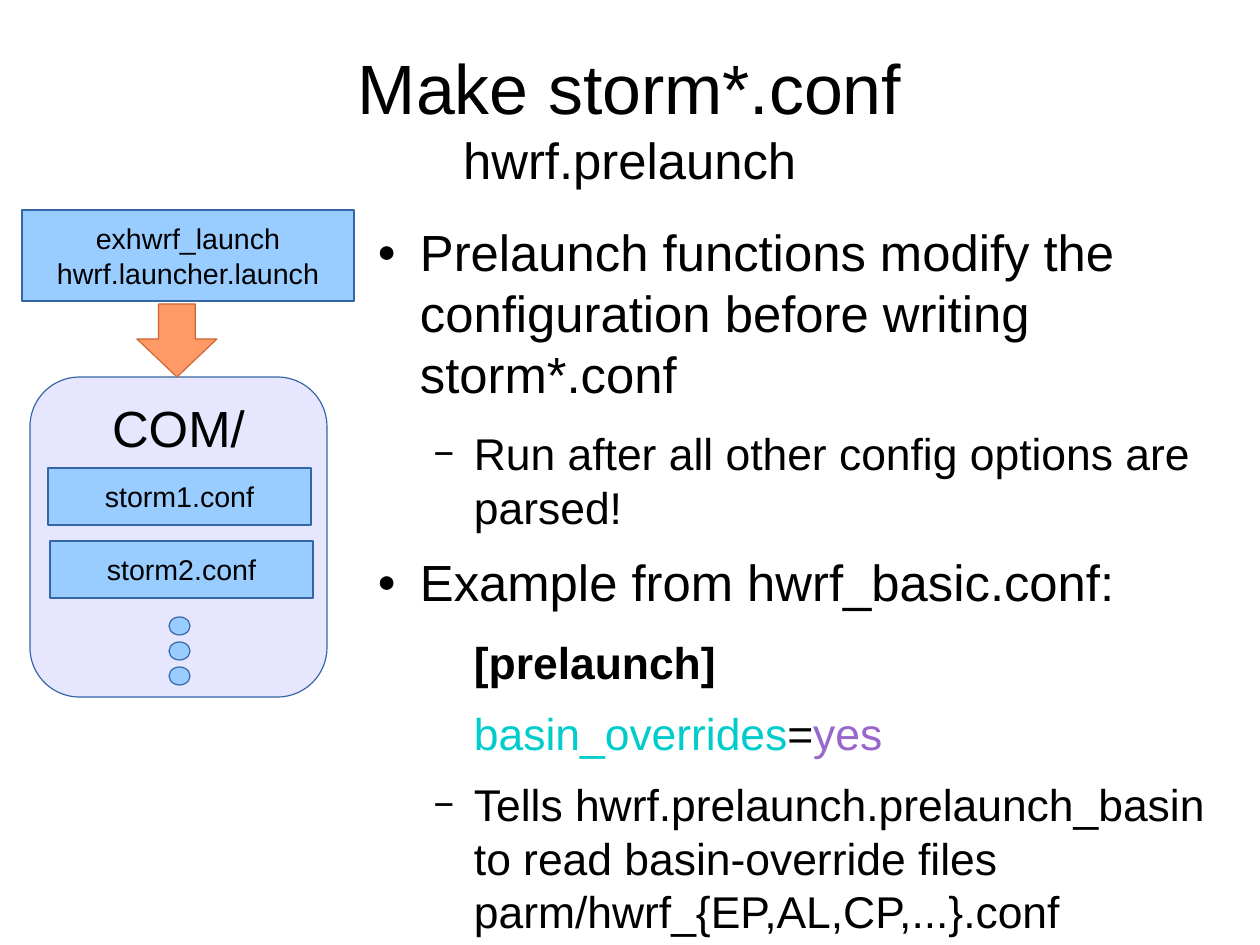
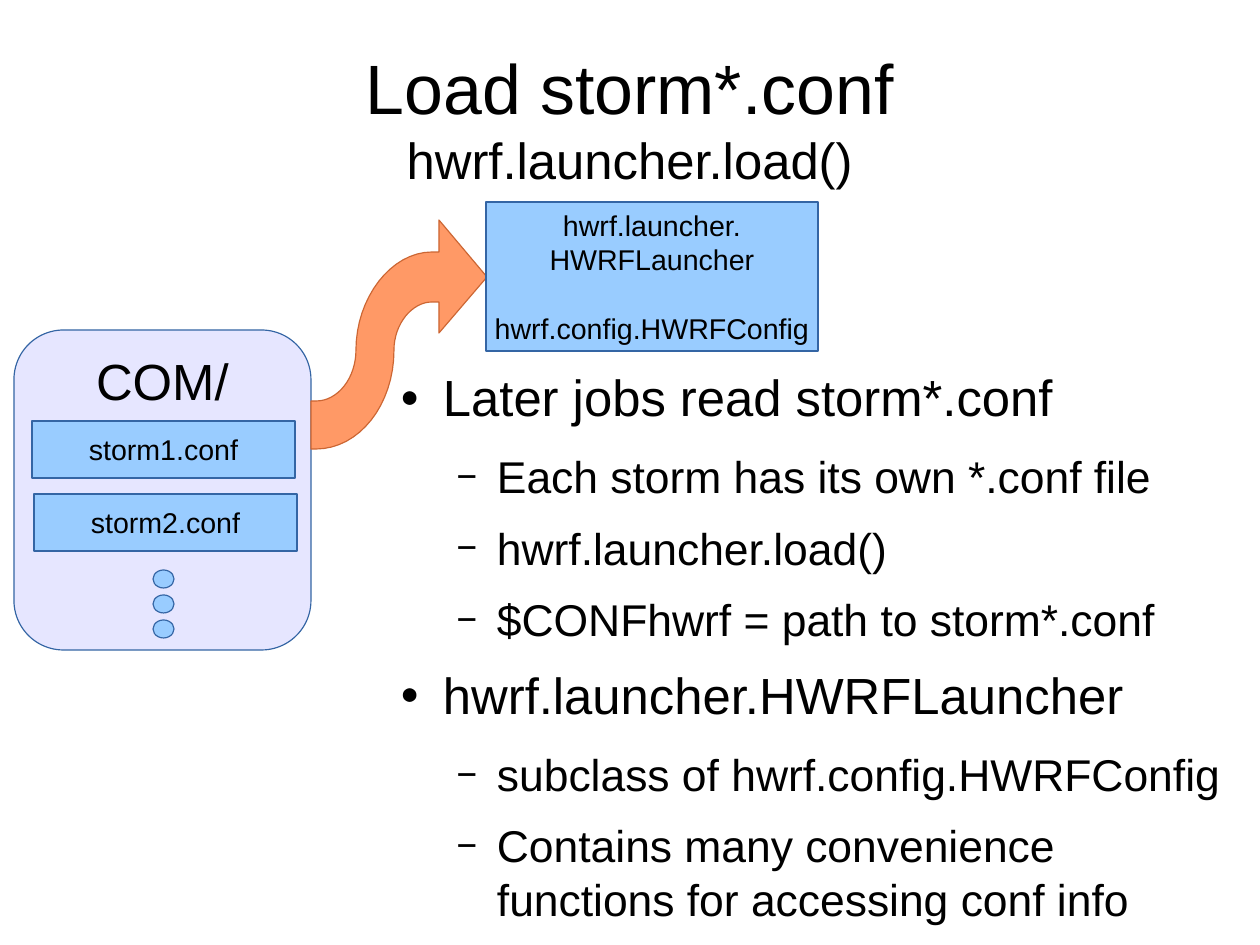
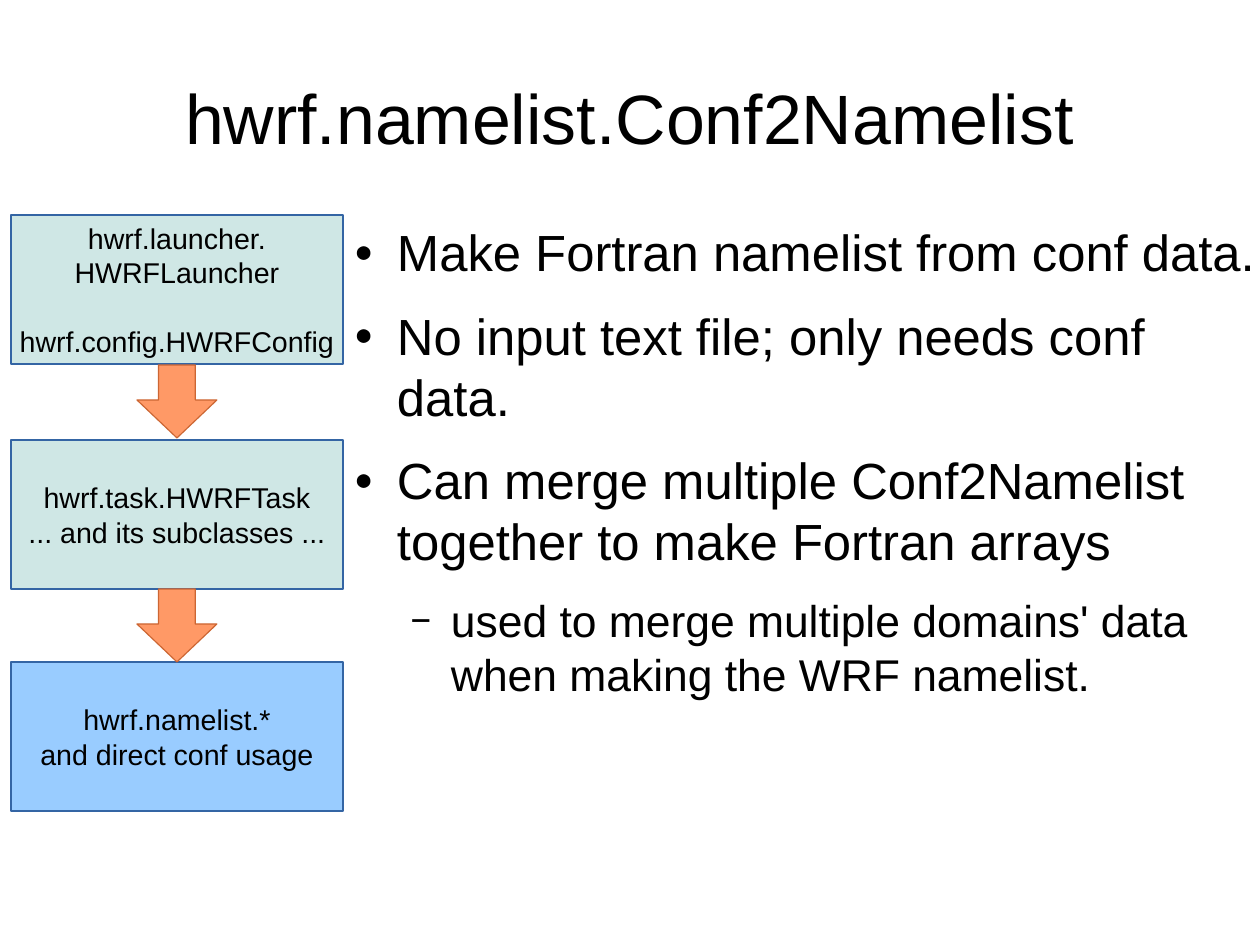
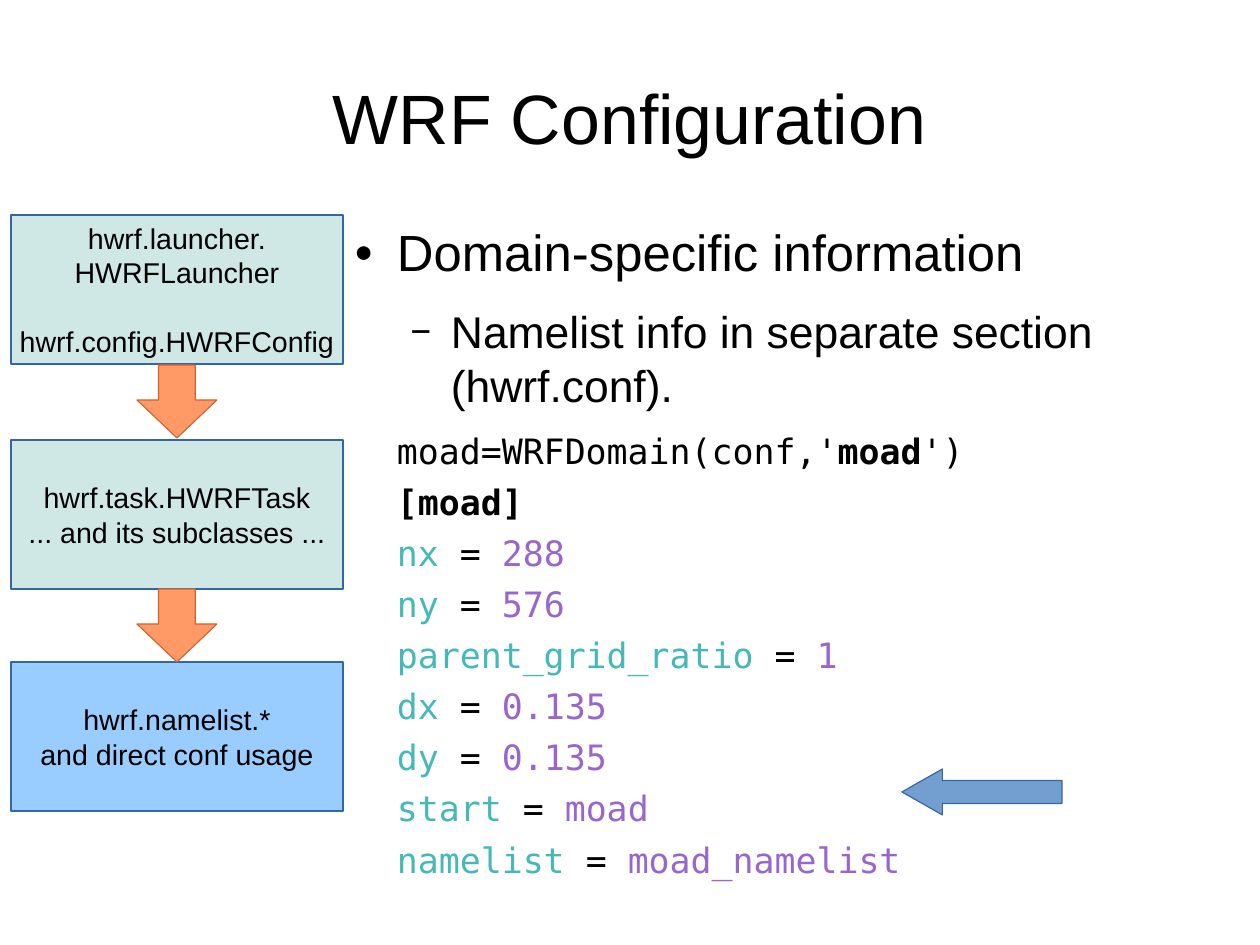
from dataclasses import dataclass

from lxml.etree import SubElement
from pptx import Presentation
from pptx.dml.color import RGBColor
from pptx.enum.shapes import MSO_SHAPE
from pptx.enum.text import MSO_ANCHOR, PP_ALIGN
from pptx.oxml.ns import qn
from pptx.util import Emu, Pt

EMU_PER_PX = 8000
SLIDE_WIDTH, SLIDE_HEIGHT = 1260, 945

BLACK = RGBColor(0x00, 0x00, 0x00)
SKY = RGBColor(0x99, 0xCC, 0xFF)
LAVENDER = RGBColor(0xE6, 0xE6, 0xFF)
MINT = RGBColor(0xCF, 0xE7, 0xE5)
STEEL = RGBColor(0x72, 0x9F, 0xCF)
NAVY = RGBColor(0x34, 0x65, 0xA4)
ORANGE = RGBColor(0xFF, 0x99, 0x66)
RUST = RGBColor(0xCC, 0x66, 0x33)
CYAN = RGBColor(0x00, 0xCC, 0xCC)
TEAL = RGBColor(0x47, 0xB8, 0xB8)
PURPLE = RGBColor(0x99, 0x66, 0xCC)

SANS = "Arial"
MONO = "DejaVu Sans Mono"
TITLE_BOX = (63, 38, 1134, 158)
STAGE_WIDTH, STAGE_HEIGHT = 332, 149
ARROW_WIDTH, ARROW_HEIGHT = 80, 73
SECTION_GAP = 21.6
CURVE_STEPS = 16

LAUNCHER_LINES = ["hwrf.launcher.", "HWRFLauncher", "hwrf.config.HWRFConfig"]


@dataclass(frozen=True)
class LineStyle:
    level: int
    indent: int
    size: int
    space_after: float
    font: str = SANS
    bullet: str = ""
    bullet_percent: int = 0


POINT = LineStyle(0, 54, 32, 14.2, bullet="●", bullet_percent=45)
DETAIL = LineStyle(1, 108, 28, 11.3, bullet="−", bullet_percent=75)
SETTING = LineStyle(1, 108, 28, 11.3)
CODE = LineStyle(0, 54, 22, 5.8, font=MONO)
HANGING = -40


def px(length):
    return Emu(length * EMU_PER_PX)


def format_font(font, size, name=SANS, color=BLACK, bold=False):
    font.name = name
    font.size = Pt(size)
    font.bold = bold
    font.color.rgb = color


def add_bullet(properties, style):
    color = SubElement(properties, qn("a:buClr"))
    SubElement(color, qn("a:srgbClr"), val=str(BLACK))
    SubElement(properties, qn("a:buSzPct"), val=str(style.bullet_percent * 1000))
    SubElement(properties, qn("a:buFont"), typeface=MONO)
    SubElement(properties, qn("a:buChar"), char=style.bullet)


def add_text_box(slide, box):
    text_frame = slide.shapes.add_textbox(*map(px, box)).text_frame
    text_frame.word_wrap = True
    text_frame.margin_left = text_frame.margin_right = 0
    text_frame.margin_top = text_frame.margin_bottom = 0
    return text_frame


def add_title(slide, title, subtitle=None):
    text_frame = add_text_box(slide, TITLE_BOX)
    text_frame.vertical_anchor = MSO_ANCHOR.MIDDLE
    text_frame.text = f"{title}\n{subtitle}" if subtitle else title
    for paragraph, size in zip(text_frame.paragraphs, (44, 32)):
        paragraph.alignment = PP_ALIGN.CENTER
        format_font(paragraph.runs[0].font, size)


def add_body(slide, box, lines):
    text_frame = add_text_box(slide, box)
    for index, (style, *pieces) in enumerate(lines):
        paragraph = text_frame.add_paragraph() if index else text_frame.paragraphs[0]
        paragraph.level = style.level
        properties = paragraph._p.get_or_add_pPr()
        properties.set("marL", str(px(style.indent)))
        properties.set("indent", str(px(HANGING if style.bullet else 0)))
        if style.bullet:
            add_bullet(properties, style)
        paragraph.space_after = Pt(style.space_after)
        for text, color, bold in pieces:
            run = paragraph.add_run()
            run.text = text
            format_font(run.font, style.size, style.font, color, bold)


def plain(style, text):
    return style, (text, BLACK, False)


def heading(style, text):
    return style, (text, BLACK, True)


def assignment(style, name, equals, value, name_color):
    return style, (name, name_color, False), (equals, BLACK, False), (value, PURPLE, False)


def paint(shape, fill, line):
    shape.shadow.inherit = False
    shape.fill.solid()
    shape.fill.fore_color.rgb = fill
    shape.line.color.rgb = line
    shape.line.width = Pt(0)


def add_figure(shapes, kind, box, fill, line=NAVY, adjustments=()):
    shape = shapes.add_shape(kind, *map(px, box))
    paint(shape, fill, line)
    for index, value in enumerate(adjustments):
        shape.adjustments[index] = value
    return shape


def label(shape, lines, size=18, anchor=MSO_ANCHOR.MIDDLE):
    text_frame = shape.text_frame
    text_frame.word_wrap = False
    text_frame.vertical_anchor = anchor
    text_frame.text = "\n".join(lines)
    for paragraph in text_frame.paragraphs:
        paragraph.alignment = PP_ALIGN.CENTER
        format_font(paragraph.runs[0].font, size)


def add_process(slide, box, lines, fill=SKY):
    shape = add_figure(slide.shapes, MSO_SHAPE.FLOWCHART_PROCESS, box, fill)
    label(shape, lines)
    return shape


def add_launcher(slide, left, top, fill):
    shape = add_process(slide, (left, top, STAGE_WIDTH, STAGE_HEIGHT), LAUNCHER_LINES, fill)
    shape.text_frame.paragraphs[-1].space_before = Pt(SECTION_GAP)


def add_down_arrow(slide, left, top):
    box = (left, top, ARROW_WIDTH, ARROW_HEIGHT)
    add_figure(slide.shapes, MSO_SHAPE.DOWN_ARROW, box, ORANGE, RUST, (0.46, 0.52))


def add_com_folder(slide, left, top):
    folder = add_figure(
        slide.shapes, MSO_SHAPE.FLOWCHART_ALTERNATE_PROCESS, (left, top, 297, 320), LAVENDER
    )
    label(folder, ["COM/"], 32, MSO_ANCHOR.TOP)
    for name, shift, drop in (("storm1.conf", 18, 91), ("storm2.conf", 20, 164)):
        add_process(slide, (left + shift, top + drop, 263, 57), [name])
    dots = slide.shapes.add_group_shape()
    for index in range(3):
        box = (left + 139, top + 240 + 25 * index, 21, 18)
        add_figure(dots.shapes, MSO_SHAPE.FLOWCHART_CONNECTOR, box, SKY)


def curve(start, first, second, end):
    points = []
    for step in range(1, CURVE_STEPS + 1):
        t = step / CURVE_STEPS
        weights = ((1 - t) ** 3, 3 * t * (1 - t) ** 2, 3 * t * t * (1 - t), t ** 3)
        corners = (start, first, second, end)
        points.append(tuple(
            sum(weight * corner[axis] for weight, corner in zip(weights, corners))
            for axis in (0, 1)
        ))
    return points


def add_curved_arrow(slide, left, top):
    outline = [
        (121, 32),
        *curve((121, 32), (80, 32), (45, 78), (45, 130)),
        *curve((45, 130), (45, 158), (27, 181), (5, 181)),
        (0, 181), (0, 229), (5, 229),
        *curve((5, 229), (48, 229), (83, 185), (83, 130)),
        *curve((83, 130), (83, 104), (101, 82), (121, 82)),
        (128, 82), (128, 113), (176, 57), (128, 0), (128, 32),
    ]
    points = [(round(px(1) * (left + x)), round(px(1) * (top + y))) for x, y in outline]
    builder = slide.shapes.build_freeform(*points[0], scale=1.0)
    builder.add_line_segments(points[1:], close=True)
    paint(builder.convert_to_shape(), ORANGE, RUST)


def add_pipeline(slide, left, top):
    arrow_left = left + (STAGE_WIDTH - ARROW_WIDTH) // 2
    add_launcher(slide, left, top, MINT)
    for drop, lines, fill in (
        (225, ["hwrf.task.HWRFTask", "... and its subclasses ..."], MINT),
        (447, ["hwrf.namelist.*", "and direct conf usage"], SKY),
    ):
        add_process(slide, (left, top + drop, STAGE_WIDTH, STAGE_HEIGHT), lines, fill)
    for drop in (150, 374):
        add_down_arrow(slide, arrow_left, top + drop)


def build_make_slide(slide):
    add_title(slide, "Make storm*.conf", "hwrf.prelaunch")
    add_body(slide, (366, 221, 857, 694), [
        plain(POINT, "Prelaunch functions modify the configuration before writing storm*.conf"),
        plain(DETAIL, "Run after all other config options are parsed!"),
        plain(POINT, "Example from hwrf_basic.conf:"),
        heading(SETTING, "[prelaunch]"),
        assignment(SETTING, "basin_overrides", "=", "yes", CYAN),
        plain(DETAIL, "Tells hwrf.prelaunch.prelaunch_basin to read basin-override files "
                      "parm/hwrf_{EP,AL,CP,...}.conf"),
    ])
    add_process(slide, (22, 210, 332, 91), ["exhwrf_launch", "hwrf.launcher.launch"])
    add_com_folder(slide, 30, 377)
    add_down_arrow(slide, 137, 304)


def build_load_slide(slide):
    add_title(slide, "Load storm*.conf", "hwrf.launcher.load()")
    add_body(slide, (389, 366, 848, 549), [
        plain(POINT, "Later jobs read storm*.conf"),
        plain(DETAIL, "Each storm has its own *.conf file"),
        plain(DETAIL, "hwrf.launcher.load()"),
        plain(DETAIL, "$CONFhwrf = path to storm*.conf"),
        plain(POINT, "hwrf.launcher.HWRFLauncher"),
        plain(DETAIL, "subclass of hwrf.config.HWRFConfig"),
        plain(DETAIL, "Contains many convenience functions for accessing conf info"),
    ])
    add_com_folder(slide, 14, 330)
    add_curved_arrow(slide, 311, 220)
    add_launcher(slide, 486, 202, SKY)


def build_pipeline_slide(slide, title, lines):
    add_title(slide, title)
    add_body(slide, (343, 221, 917, 694), lines)
    add_pipeline(slide, 11, 215)


def build_namelist_slide(slide):
    build_pipeline_slide(slide, "hwrf.namelist.Conf2Namelist", [
        plain(POINT, "Make Fortran namelist from conf data."),
        plain(POINT, "No input text file; only needs conf data."),
        plain(POINT, "Can merge multiple Conf2Namelist together to make Fortran arrays"),
        plain(DETAIL, "used to merge multiple domains' data when making the WRF namelist."),
    ])


def build_domain_slide(slide):
    settings = (
        ("nx", "288"),
        ("ny", "576"),
        ("parent_grid_ratio", "1"),
        ("dx", "0.135"),
        ("dy", "0.135"),
        ("start", "moad"),
        ("namelist", "moad_namelist"),
    )
    build_pipeline_slide(slide, "WRF Configuration", [
        plain(POINT, "Domain-specific information"),
        plain(DETAIL, "Namelist info in separate section (hwrf.conf)."),
        (CODE, ("moad=WRFDomain(conf,'", BLACK, False), ("moad", BLACK, True),
         ("')", BLACK, False)),
        heading(CODE, "[moad]"),
        *(assignment(CODE, name, " = ", value, TEAL) for name, value in settings),
    ])
    add_figure(
        slide.shapes, MSO_SHAPE.LEFT_ARROW, (902, 769, 160, 46), STEEL, adjustments=(0.5, 0.88)
    )


def main():
    presentation = Presentation()
    presentation.slide_width = px(SLIDE_WIDTH)
    presentation.slide_height = px(SLIDE_HEIGHT)
    blank_layout = presentation.slide_layouts[6]
    for build in (build_make_slide, build_load_slide, build_namelist_slide, build_domain_slide):
        build(presentation.slides.add_slide(blank_layout))
    presentation.save("out.pptx")


if __name__ == "__main__":
    main()
